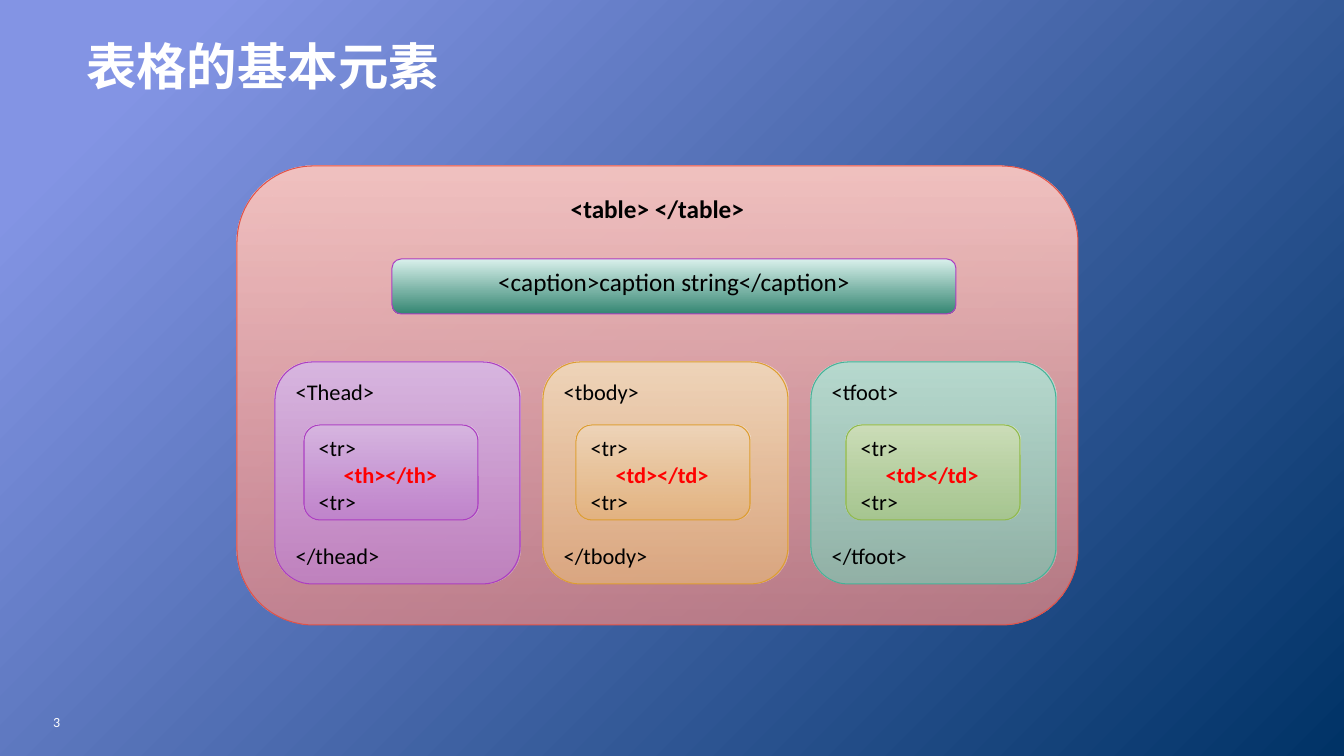
from pptx import Presentation, util as u
from pptx.dml.color import RGBColor
from pptx.enum import shapes, text
from lxml import etree

PX = 914400 / 100.8
FONT = "Calibri"
COLORS = {
    "black": "000000", "white": "FFFFFF", "red": "FF0000",
    "sky": "8394E4", "navy": "003366",
}
# light end, dark end, outline
THEMES = {
    "rose": ("F2C2C0", "E88985", "E25247"),
    "purple": ("D8B7E1", "BF82CE", "AC3EC1"),
    "orange": ("EFD5BA", "E4B47E", "DD9D31"),
    "teal": ("B7DACF", "85C3B1", "46B298"),
    "green": ("CDDEB9", "ABC987", "90BA4C"),
    "caption": ("D9F0EB", "348672", "AC3EC1"),
}


def emu(*lengths):
    return [u.Emu(round(length * PX)) for length in lengths]


def set_gradient(fill, start, end, angle, start_at=0):
    """Two-colour gradient; angle runs clockwise from left-to-right."""
    fill.gradient()
    fill.gradient_angle = 360 - angle
    for stop, color, position in zip(fill.gradient_stops, (start, end), (start_at, 1)):
        stop.color.rgb = RGBColor.from_string(color)
        stop.position = position


def write(para, words, size=16, color="black", bold=False, align="LEFT",
          before=0, indent=0):
    para.alignment = getattr(text.PP_ALIGN, align)
    para.space_before = u.Pt(before)
    if indent:
        props = para._p.get_or_add_pPr()
        props.set("marL", str(emu(indent)[0]))
        props.set("indent", "0")
    span = para.add_run()
    span.text = words
    span.font.name = FONT
    span.font.size = u.Pt(size)
    span.font.bold = bold
    span.font.color.rgb = RGBColor.from_string(COLORS[color])


def add_panel(parent, box, theme, opacity=74):
    """Rounded gradient panel; returns its text frame."""
    light, dark, outline = THEMES[theme]
    panel = parent.add_shape(shapes.MSO_SHAPE.ROUNDED_RECTANGLE, *emu(*box))
    panel.shadow.inherit = False
    set_gradient(panel.fill, light, dark, 90)
    if opacity < 100:
        dark_stop = panel.element.xpath(".//a:gsLst//a:srgbClr")[-1]
        tag = etree.QName(dark_stop).namespace
        etree.SubElement(dark_stop, f"{{{tag}}}alpha").set("val", str(opacity * 1000))
    panel.line.color.rgb = RGBColor.from_string(outline)
    panel.line.width = u.Pt(0.75)
    frame = panel.text_frame
    frame.word_wrap = True
    frame.vertical_anchor = text.MSO_ANCHOR.TOP
    return frame


def add_title(page, box, words):
    title = page.shapes.title
    title.left, title.top, title.width, title.height = emu(*box)
    frame = title.text_frame
    frame.auto_size = text.MSO_AUTO_SIZE.NONE
    frame.vertical_anchor = text.MSO_ANCHOR.MIDDLE
    write(frame.paragraphs[0], words, size=36, color="white", bold=True)


def add_section(page, box, tags, cell, themes, row_left):
    """Section panel with its opening and closing tags around one row."""
    left, top, width, height = box
    group = page.shapes.add_group_shape().shapes
    frame = add_panel(group, box, themes[0])
    write(frame.paragraphs[0], tags[0])
    write(frame.add_paragraph(), tags[1], before=98)

    row = add_panel(group, (left + row_left, top + 63, 174, 95), themes[1])
    write(row.paragraphs[0], "<tr>")
    write(row.add_paragraph(), cell, color="red", bold=True, indent=25)
    write(row.add_paragraph(), "<tr>")


def add_table_diagram(page, box):
    left, top, _, _ = box
    frame = add_panel(page.shapes, box, "rose")
    write(frame.paragraphs[0], "<table> </table>", size=18, bold=True, align="CENTER")

    sections = [
        (("<Thead>", "</thead>"), "<th></th>", ("purple", "purple"), 29),
        (("<tbody>", "</tbody>"), "<td></td>", ("orange", "orange"), 33),
        (("<tfoot>", "</tfoot>"), "<td></td>", ("teal", "green"), 35),
    ]
    for index, section in enumerate(sections):
        add_section(page, (left + 38 + index * 268, top + 196, 245, 222), *section)

    caption = add_panel(page.shapes, (left + 155, top + 93, 564, 55), "caption", 100)
    write(caption.paragraphs[0], "<caption>caption string</caption>",
          size=18, align="CENTER")


def add_page_number(page, box, number):
    frame = page.shapes.add_textbox(*emu(*box)).text_frame
    frame.word_wrap = True
    frame.vertical_anchor = text.MSO_ANCHOR.MIDDLE
    write(frame.paragraphs[0], number, size=10, color="white", align="RIGHT")


def main():
    deck = Presentation()
    deck.slide_width, deck.slide_height = emu(1344, 756)
    page = deck.slides.add_slide(deck.slide_layouts[5])
    set_gradient(page.background.fill, COLORS["sky"], COLORS["navy"], 45, 0.1)
    add_title(page, (76, 16, 1111, 99), "表格的基本元素")
    add_table_diagram(page, (237, 166, 841, 459))
    add_page_number(page, (10, 701, 60, 41), "3")
    deck.save("out.pptx")


if __name__ == "__main__":
    main()
